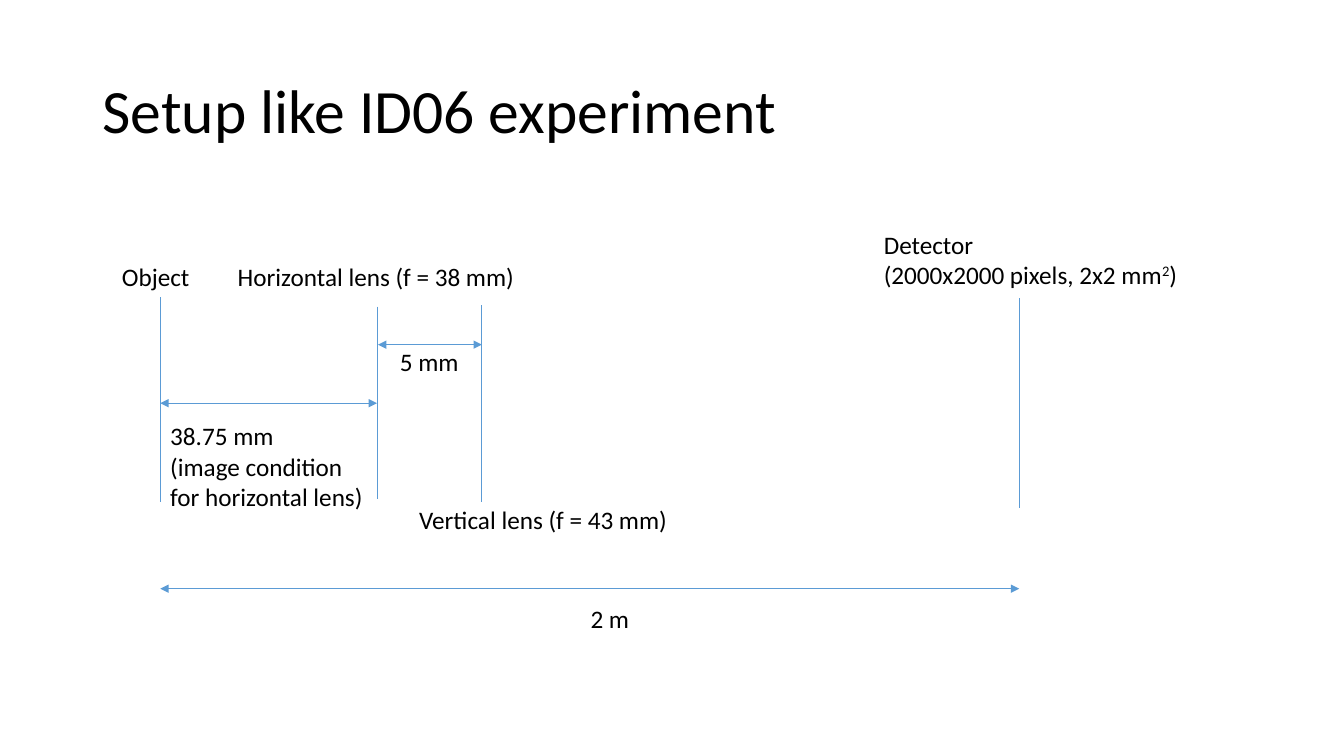
from dataclasses import dataclass

from lxml import etree
from pptx import Presentation
from pptx.dml.color import RGBColor
from pptx.enum.shapes import MSO_CONNECTOR
from pptx.enum.text import MSO_ANCHOR, MSO_AUTO_SIZE, PP_ALIGN
from pptx.oxml.ns import qn
from pptx.slide import Slide
from pptx.text.text import Font
from pptx.util import Pt

STRAIGHT = MSO_CONNECTOR.STRAIGHT
MIDDLE = MSO_ANCHOR.MIDDLE
LEFT = PP_ALIGN.LEFT
GROW = MSO_AUTO_SIZE.SHAPE_TO_FIT_TEXT
NO_FIT = MSO_AUTO_SIZE.NONE


@dataclass(frozen=True)
class Theme:
    font: str = "Calibri"
    title_size: float = 44
    label_size: float = 18
    line_width: float = 0.5
    text: RGBColor = RGBColor(0x00, 0x00, 0x00)
    line: RGBColor = RGBColor(0x5B, 0x9B, 0xD5)


@dataclass(frozen=True)
class Plane:
    x: float
    top: float
    bottom: float


@dataclass(frozen=True)
class Distance:
    start: float
    end: float
    y: float


@dataclass(frozen=True)
class Label:
    text: str
    left: float
    top: float
    width: float
    height: float = 29
    wrap: bool = False
    superscript: str = ""
    ending: str = ""


THEME = Theme()

OBJECT = Plane(114.5, 212.5, 358.5)
HORIZONTAL_LENS = Plane(269.3, 219, 356.5)
VERTICAL_LENS = Plane(344.2, 218, 358.5)
DETECTOR = Plane(728, 213, 363)
PLANES = (OBJECT, HORIZONTAL_LENS, VERTICAL_LENS, DETECTOR)

DISTANCES = (
    Distance(OBJECT.x, DETECTOR.x, 420.5),
    Distance(HORIZONTAL_LENS.x + 0.7, VERTICAL_LENS.x, 246.2),
    Distance(OBJECT.x, HORIZONTAL_LENS.x, 288),
)

LABELS = (
    Label("Object", 80, 183, 63.4, wrap=True),
    Label("Horizontal lens (f = 38 mm)", 162.7, 183.2, 214.6),
    Label("Vertical lens (f = 43 mm)", 292.3, 356.5, 193.7),
    Label("Detector\n(2000x2000 pixels, 2x2 mm", 624.2, 160, 226.8, 51,
          superscript="2", ending=")"),
    Label("2 m", 414.7, 427.2, 42.5),
    Label("5 mm", 278.6, 244, 56.9),
    Label("38.75 mm\n(image condition for horizontal lens)",
          OBJECT.x, 296.9, 154, 72.7, wrap=True),
)


def style_font(font: Font, size: float) -> None:
    font.name = THEME.font
    font.size = Pt(size)
    font.color.rgb = THEME.text


def add_title(page: Slide, text: str) -> None:
    title = page.shapes.title
    title.left, title.top = Pt(66), Pt(28.8)
    title.width, title.height = Pt(828), Pt(104.4)
    frame = title.text_frame
    frame.text = text
    frame.vertical_anchor = MIDDLE
    frame.auto_size = NO_FIT
    para = frame.paragraphs[0]
    para.alignment = LEFT
    para.line_spacing = 0.9
    style_font(para.runs[0].font, THEME.title_size)


def add_line(page: Slide, x1: float, y1: float, x2: float, y2: float,
             arrows: bool = False) -> None:
    line = page.shapes.add_connector(STRAIGHT, Pt(x1), Pt(y1), Pt(x2), Pt(y2))
    line.line.color.rgb = THEME.line
    line.line.width = Pt(THEME.line_width)
    if arrows:
        outline = line.line._get_or_add_ln()
        for end in ("a:headEnd", "a:tailEnd"):
            etree.SubElement(outline, qn(end), type="triangle")
    etree.SubElement(line._element.spPr, qn("a:effectLst"))


def add_label(page: Slide, label: Label) -> None:
    box = page.shapes.add_textbox(Pt(label.left), Pt(label.top),
                                  Pt(label.width), Pt(label.height))
    frame = box.text_frame
    frame.word_wrap = label.wrap
    frame.auto_size = GROW
    para = frame.paragraphs[0]
    para.text = label.text
    if label.superscript:
        raised = para.add_run()
        raised.text = label.superscript
        raised._r.get_or_add_rPr().set("baseline", "30000")
        para.add_run().text = label.ending
    for span in para.runs:
        style_font(span.font, THEME.label_size)


def main() -> None:
    deck = Presentation()
    deck.slide_width, deck.slide_height = Pt(960), Pt(540)
    page = deck.slides.add_slide(deck.slide_layouts.get_by_name("Title Only"))
    add_title(page, "Setup like ID06 experiment")
    for plane in PLANES:
        add_line(page, plane.x, plane.top, plane.x, plane.bottom)
    for distance in DISTANCES:
        add_line(page, distance.start, distance.y, distance.end, distance.y,
                 arrows=True)
    for label in LABELS:
        add_label(page, label)
    deck.save("out.pptx")


if __name__ == "__main__":
    main()
